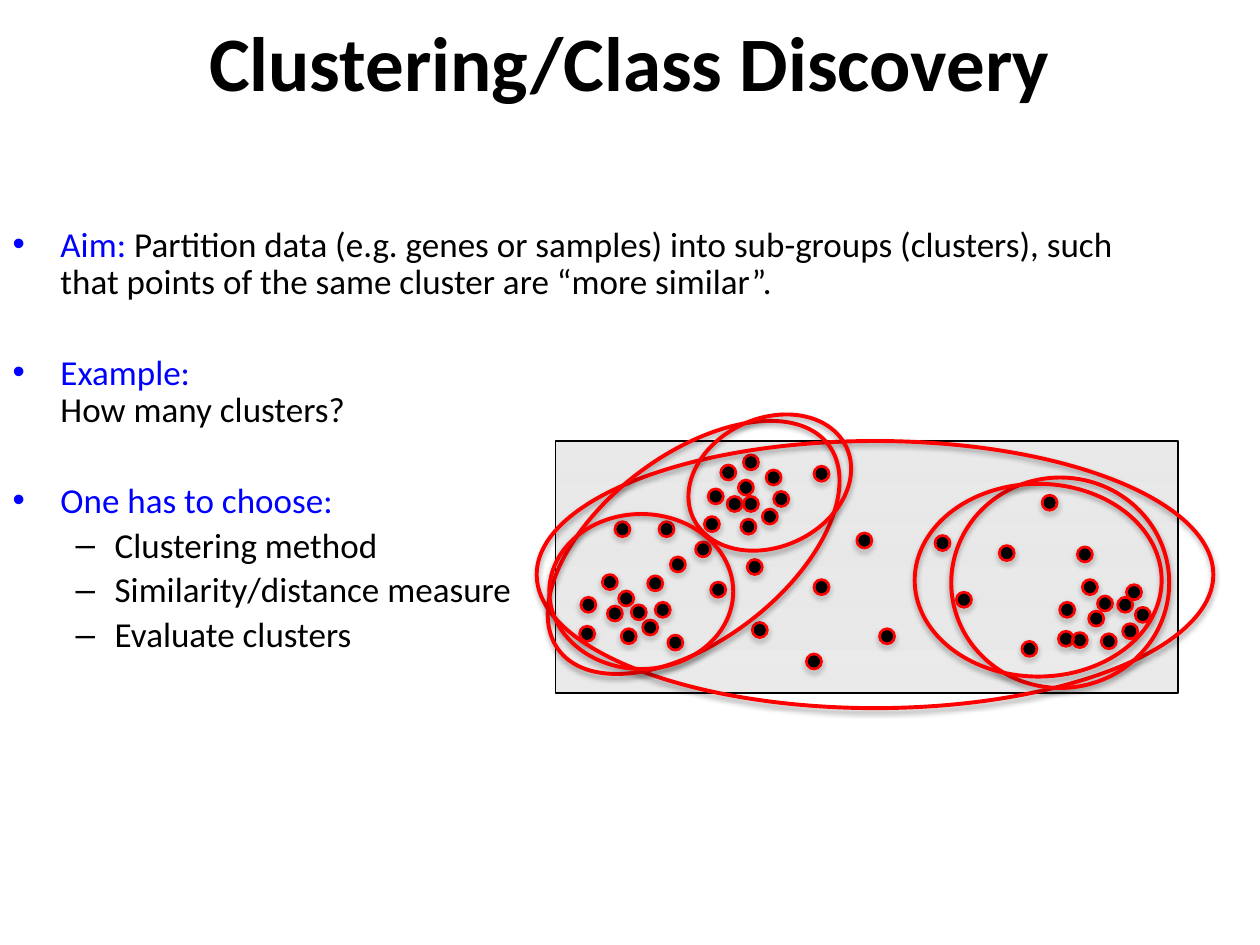
from dataclasses import dataclass
from typing import Any, NamedTuple

from lxml import etree
from pptx import Presentation
from pptx import util as u
from pptx.dml.color import RGBColor
from pptx.enum import shapes, text
from pptx.oxml import parse_xml
from pptx.oxml.ns import nsdecls, qn


@dataclass(frozen=True)
class Theme:
    font: str = "Calibri"
    ink: RGBColor = RGBColor(0, 0, 0)
    keyword: RGBColor = RGBColor(0, 0, 255)
    cluster: RGBColor = RGBColor(255, 0, 0)
    panel_top: RGBColor = RGBColor(0xDD, 0xDD, 0xDD)
    panel_bottom: RGBColor = RGBColor(0xEA, 0xEA, 0xEA)
    title_size: u.Pt = u.Pt(44)
    body_size: u.Pt = u.Pt(20)
    thin: u.Pt = u.Pt(0.75)
    ring: u.Pt = u.Pt(1.5)
    outline: u.Pt = u.Pt(2.25)


class Point(NamedTuple):
    x: float
    y: float


class Box(NamedTuple):
    left: float
    top: float
    width: float
    height: float
    rotation: float = 0


class Bullet(NamedTuple):
    keyword: str
    detail: str
    level: int = 0
    breaks: bool = False
    space_before: float = 4


class Level(NamedTuple):
    symbol: str
    margin: float
    hanging: float


THEME = Theme()
LEVELS = [Level("•", 0.38, 0.38), Level("–", 0.81, 0.31)]
SECTION_GAP = 30

BULLETS = [
    Bullet("Aim: ", "Partition data (e.g. genes or samples) into sub-groups (clusters), "
           "such that points of the same cluster are “more similar”."),
    Bullet("Example:", "How many clusters?", breaks=True, space_before=SECTION_GAP),
    Bullet("One has to choose:", "", space_before=SECTION_GAP),
    Bullet("", "Clustering method", level=1),
    Bullet("", "Similarity/distance measure", level=1),
    Bullet("", "Evaluate clusters", level=1),
]

PANEL = Box(4.41, 3.5, 4.94, 2)
DOT_WIDTH, DOT_HEIGHT, RING_SIZE = 0.09, 0.1, 0.12

SAMPLES = [Point(*pair) for pair in (
    (5.78, 3.75), (5.92, 3.87), (5.83, 4), (6.14, 3.79), (6.11, 4.1), (6.2, 3.96),
    (5.94, 4.18), (5.68, 3.94), (5.65, 4.16), (5.96, 4), (5.96, 3.67), (6.52, 3.76),
    (4.84, 4.62), (4.97, 4.75), (4.88, 4.87), (5.2, 4.63), (5.16, 4.98), (5.26, 4.84),
    (4.99, 5.05), (4.67, 4.8), (4.66, 5.03), (5.07, 4.86), (5.36, 5.1), (4.94, 4.2),
    (5.58, 4.36), (5.99, 4.5), (5.29, 4.2), (5.7, 4.68), (5.38, 4.48),
    (6.86, 4.29), (7.48, 4.31), (6.52, 4.66), (7.04, 5.05), (6.03, 5), (6.46, 5.25),
    (8.65, 4.66), (8.77, 4.79), (8.7, 4.91), (9, 4.7), (8.97, 5.01), (9.07, 4.88),
    (8.8, 5.09), (8.47, 4.84), (8.46, 5.07), (8.93, 4.8), (8.57, 5.08),
    (7.99, 4.39), (8.61, 4.4), (7.65, 4.76), (8.17, 5.15), (8.33, 3.99),
)]

WHOLE_SET = Box(4.26, 3.5, 5.37, 2.12)
TWO_CLUSTERS = [Box(7.55, 3.79, 1.73, 1.67), Box(4.16, 3.61, 2.69, 1.47, 322.6)]
THREE_CLUSTERS = [
    Box(5.44, 3.32, 1.34, 1.02, 335.6),
    Box(7.26, 3.84, 1.96, 1.53),
    Box(4.36, 4.08, 1.46, 1.23),
]


def apply(target: Any, **values: Any) -> None:
    for name, value in values.items():
        setattr(target, name, value)


def place(shape: Any, box: Box) -> None:
    apply(shape, left=u.Inches(box.left), top=u.Inches(box.top),
          width=u.Inches(box.width), height=u.Inches(box.height))


def centred(point: Point, width: float, height: float) -> Box:
    return Box(point.x - width / 2, point.y - height / 2, width, height)


def add_run(paragraph: Any, words: str, size: u.Pt, color: RGBColor, bold: bool = False) -> None:
    run = paragraph.add_run()
    run.text = words
    apply(run.font, name=THEME.font, size=size, bold=bold)
    run.font.color.rgb = color


def add_outlined(container: Any, kind: Any, box: Box, color: RGBColor, weight: u.Pt) -> Any:
    shape = container.add_shape(kind, *(u.Inches(length) for length in box[:4]))
    shape.rotation = box.rotation
    shape.line.color.rgb = color
    shape.line.width = weight
    shape.shadow.inherit = False
    return shape


def add_panel(container: Any) -> None:
    panel = add_outlined(container, shapes.MSO_SHAPE.RECTANGLE, PANEL, THEME.ink, THEME.thin)
    panel.fill.gradient()
    panel.fill.gradient_angle = 270
    for stop, color, position in zip(panel.fill.gradient_stops,
                                     (THEME.panel_top, THEME.panel_bottom), (0, 1)):
        stop.color.rgb = color
        stop.position = position
    top_color = panel.element.find(".//" + qn("a:srgbClr"))
    etree.SubElement(top_color, qn("a:alpha"), val="60000")


def add_dot(container: Any, point: Point) -> None:
    dot = add_outlined(container, shapes.MSO_SHAPE.OVAL,
                       centred(point, DOT_WIDTH, DOT_HEIGHT), THEME.ink, THEME.thin)
    dot.fill.solid()
    dot.fill.fore_color.rgb = THEME.ink


def add_loop(container: Any, box: Box, weight: u.Pt) -> None:
    loop = add_outlined(container, shapes.MSO_SHAPE.OVAL, box, THEME.cluster, weight)
    loop.fill.background()
    effects = loop.element.spPr.find(qn("a:effectLst"))
    effects.append(parse_xml(
        f'<a:outerShdw {nsdecls("a")} blurRad="40000" dist="23000" dir="5400000" '
        'rotWithShape="0"><a:srgbClr val="000000"><a:alpha val="35000"/></a:srgbClr>'
        '</a:outerShdw>'))


def add_bullet(paragraph: Any, bullet: Bullet) -> None:
    level = LEVELS[bullet.level]
    apply(paragraph, level=bullet.level, line_spacing=0.9,
          space_before=u.Pt(bullet.space_before))
    properties = paragraph._p.get_or_add_pPr()
    properties.set("marL", str(u.Inches(level.margin)))
    properties.set("indent", str(-u.Inches(level.hanging)))
    etree.SubElement(properties, qn("a:buChar"), char=level.symbol)
    if bullet.keyword:
        add_run(paragraph, bullet.keyword, THEME.body_size, THEME.keyword)
    if bullet.breaks:
        paragraph.add_line_break()
    if bullet.detail:
        add_run(paragraph, bullet.detail, THEME.body_size, THEME.ink)


def fill_text(slide: Any) -> None:
    title, body = slide.shapes.title, slide.placeholders[1]
    place(title, Box(0, 0.12, 10, 0.72))
    place(body, Box(0, 1.75, 9, 5.25))
    for shape, anchor in ((title, text.MSO_ANCHOR.MIDDLE), (body, text.MSO_ANCHOR.TOP)):
        apply(shape.text_frame, word_wrap=True, vertical_anchor=anchor,
              auto_size=text.MSO_AUTO_SIZE.NONE)
    heading = title.text_frame.paragraphs[0]
    heading.alignment = text.PP_ALIGN.CENTER
    add_run(heading, "Clustering/Class Discovery", THEME.title_size, THEME.ink, bold=True)
    for index, bullet in enumerate(BULLETS):
        frame = body.text_frame
        add_bullet(frame.add_paragraph() if index else frame.paragraphs[0], bullet)


def draw_clusters(slide: Any) -> None:
    data = slide.shapes.add_group_shape().shapes
    add_panel(data)
    for point in SAMPLES:
        add_dot(data, point)
    rings = [centred(point, RING_SIZE, RING_SIZE) for point in SAMPLES]
    for loops, weight in ((rings, THEME.ring), ([WHOLE_SET], THEME.outline),
                          (TWO_CLUSTERS, THEME.outline), (THREE_CLUSTERS, THEME.outline)):
        container = slide.shapes.add_group_shape().shapes if len(loops) > 1 else slide.shapes
        for box in loops:
            add_loop(container, box, weight)


def main() -> None:
    presentation = Presentation()
    apply(presentation, slide_width=u.Inches(10), slide_height=u.Inches(7.5))
    slide = presentation.slides.add_slide(presentation.slide_layouts[1])
    fill_text(slide)
    draw_clusters(slide)
    presentation.save("out.pptx")


if __name__ == "__main__":
    main()
